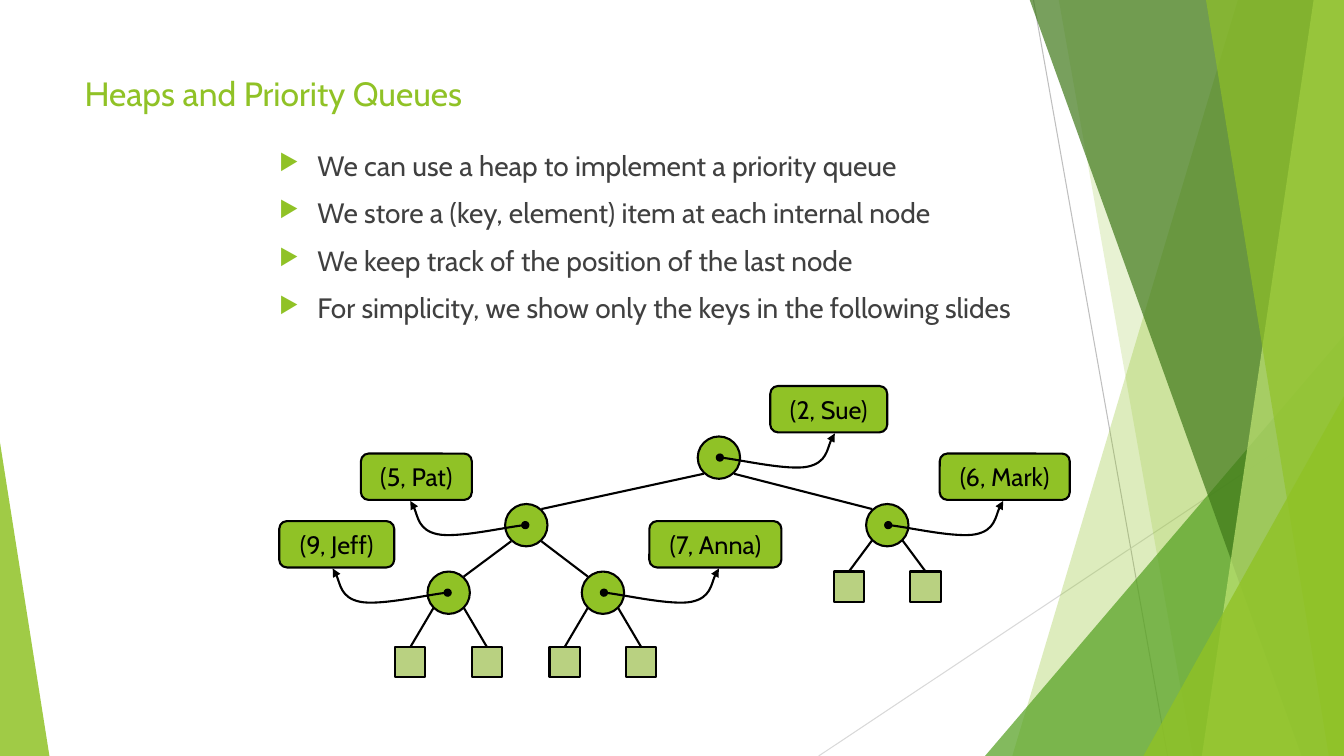
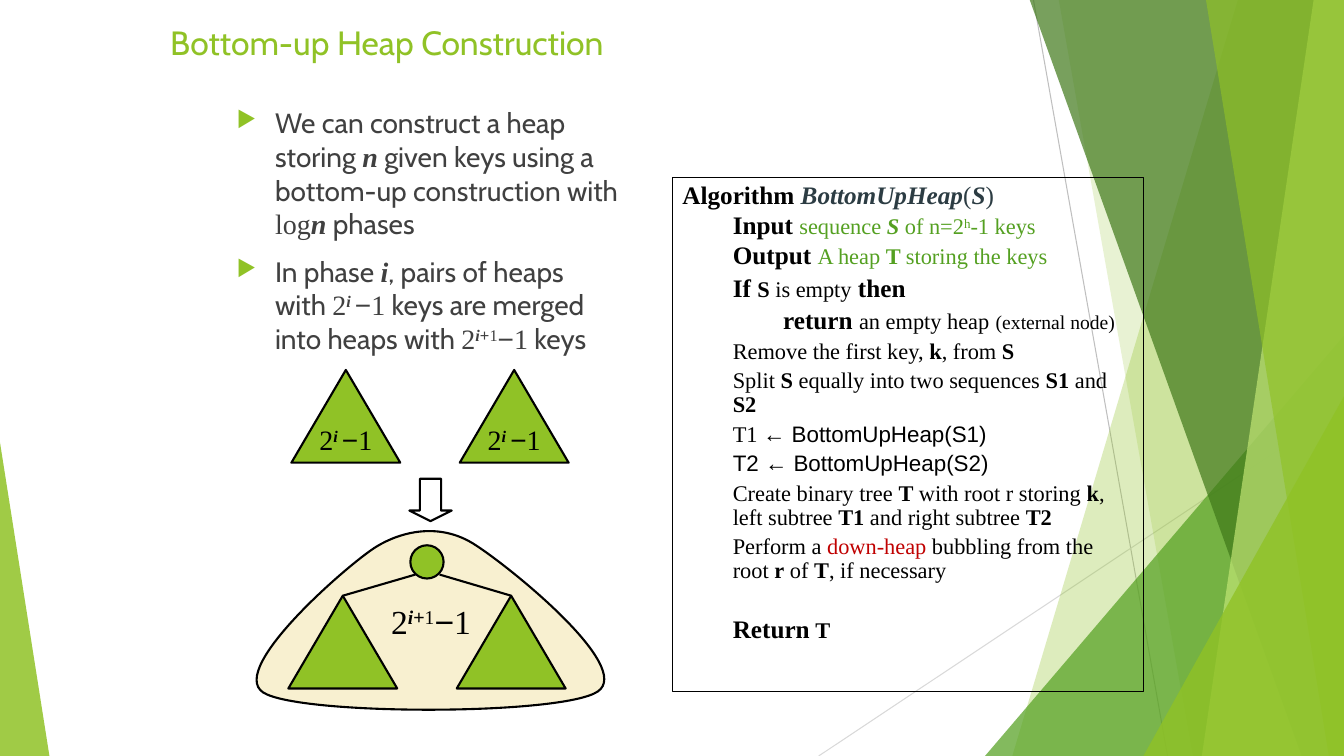
"""Build two slides on heaps: priority queue items and bottom-up construction."""
from dataclasses import dataclass
from functools import partial
from typing import NamedTuple, Optional, Sequence

from pptx import Presentation
from pptx.dml.color import RGBColor
from pptx.enum.shapes import MSO_CONNECTOR as Link, MSO_SHAPE as Kind
from pptx.enum.text import MSO_ANCHOR as Anchor, PP_ALIGN as Align
from pptx.oxml.ns import qn
from pptx.oxml.xmlchemy import OxmlElement
from pptx.util import Emu, Pt

EMU_PER_PX = 9144
SLIDE_WIDTH, SLIDE_HEIGHT = 1333, 750
GREEN, MID_GREEN, DARK_GREEN, LIME = "90C226", "54A021", "3F7819", "C0E474"
LEAF_GREEN, CREAM, BLACK, TEXT_GREY = "B9D181", "F8F0D0", "000000", "404040"
SANS, SERIF, SYMBOL = "Cabin", "Times New Roman", "Arial"
NODE_SIZE, LEAF_SIZE, LEAF_OFFSET, RIM = 42, 30, 38, 15
Point = tuple[int, int]


class Box(NamedTuple):
    left: int
    top: int
    width: int
    height: int


@dataclass(frozen=True)
class Run:
    text: str
    size: int = 20
    font: str = SANS
    color: str = TEXT_GREY
    bold: bool = False
    italic: bool = False
    raised: bool = False


@dataclass(frozen=True)
class Para:
    runs: Sequence[Run]
    before: float = 0
    indent: int = 0
    spacing: Optional[float] = None
    align: Align = Align.LEFT
    bullet: bool = False


@dataclass(frozen=True)
class Facet:
    color: str
    opacity: int
    corners: Sequence[Point]


@dataclass(frozen=True)
class Node:
    item: str
    x: int
    y: int
    item_left: int
    item_width: int
    side: int
    leaf_top: Optional[int] = None
    parent: Optional[int] = None


FACETS = (
    Facet(GREEN, 30, ((1228, -1), (1333, -1), (1333, 750), (1004, 750))),
    Facet(GREEN, 20, ((1050, -1), (1333, -1), (1333, 750), (1183, 750))),
    Facet(MID_GREEN, 72, ((1333, 333), (1333, 750), (977, 750))),
    Facet(DARK_GREEN, 70, ((1021, -1), (1333, -1), (1333, 750), (1291, 750))),
    Facet(LIME, 70, ((1303, -1), (1333, -1), (1333, 750), (1192, 750))),
    Facet(GREEN, 65, ((1196, -1), (1333, -1), (1333, 750), (1318, 750))),
    Facet(GREEN, 80, ((1333, 393), (1333, 750), (1134, 750))),
    Facet(GREEN, 85, ((0, 439), (49, 750), (0, 750))),
)

NODES = (
    Node("(2, Sue)", 713, 454, 764, 116, 1),
    Node("(5, Pat)", 522, 521, 358, 110, -1, parent=0),
    Node("(6, Mark)", 880, 521, 932, 129, 1, leaf_top=567, parent=0),
    Node("(9, Jeff)", 445, 588, 277, 114, -1, leaf_top=642, parent=1),
    Node("(7, Anna)", 598, 588, 644, 131, 1, leaf_top=642, parent=1),
)
POINTER = ((1, 0), (16, 1), (69, 13), (88, 9), (107, 5), (109, -17), (115, -24))
HEAP_OUTLINE = (
    (374, 542), (350, 556), (225, 663), (261, 687), (297, 710), (558, 710), (593, 686),
    (628, 662), (509, 565), (472, 541), (436, 517), (397, 528), (374, 542),
)

variable = partial(Run, font=SERIF, bold=True, italic=True)
serif = partial(Run, font=SERIF)
plain = partial(Run, size=16, font=SERIF, color=BLACK)
strong = partial(plain, bold=True)
keyword = partial(strong, size=18)
remark = partial(plain, color=MID_GREEN)
code = partial(plain, font=SYMBOL)
step = partial(Para, before=3.7, indent=50, spacing=0.9)


def px(length: int) -> Emu:
    """Convert px to EMU."""
    return Emu(length * EMU_PER_PX)


def rgb(color: str) -> RGBColor:
    """Turn a hex string into a colour."""
    return RGBColor.from_string(color)


def heap_size(size: int, color: str, merged: bool = False) -> list[Run]:
    """Give the key count of a heap, before or after merging."""
    number = partial(Run, size=size, color=color, font=SERIF)
    sign = partial(Run, size=size, color=color, font=SYMBOL)
    exponent = [number("i" if merged else "i ", bold=True, italic=True, raised=True)]
    if merged:
        exponent += [sign("+", raised=True), number("1", raised=True)]
    return [number("2"), *exponent, sign("−"), number("1")]


def write(frame, paras: Sequence[Para], wrap: bool = True, anchor: Anchor = Anchor.TOP) -> None:
    """Fill a text frame run by run."""
    frame.word_wrap = wrap
    frame.vertical_anchor = anchor
    for index, para in enumerate(paras):
        paragraph = frame.add_paragraph() if index else frame.paragraphs[0]
        paragraph.alignment = para.align
        paragraph.space_before = Pt(para.before if index else 0)
        if para.spacing:
            paragraph.line_spacing = para.spacing
        props = paragraph._p.get_or_add_pPr()
        props.set("marL", str(px(para.indent)))
        if para.bullet:
            props.set("indent", str(-px(para.indent)))
            tint = OxmlElement("a:buClr")
            tint.append(OxmlElement("a:srgbClr"))
            tint[0].set("val", GREEN)
            scale = OxmlElement("a:buSzPct")
            scale.set("val", "80000")
            mark = OxmlElement("a:buChar")
            mark.set("char", "▶")
            props.extend((tint, scale, mark))
        for part in para.runs:
            run = paragraph.add_run()
            run.text = part.text
            font = run.font
            font.size, font.name = Pt(part.size), part.font
            font.bold, font.italic = part.bold, part.italic
            font.color.rgb = rgb(part.color)
            if part.raised:
                run._r.get_or_add_rPr().set("baseline", "30000")


def paint(shape, fill: Optional[str], line: Optional[str] = BLACK, weight: float = 1.5) -> None:
    """Set fill and outline and drop the shadow."""
    shape.shadow.inherit = False
    if fill:
        shape.fill.solid()
        shape.fill.fore_color.rgb = rgb(fill)
    else:
        shape.fill.background()
    if line:
        shape.line.color.rgb = rgb(line)
        shape.line.width = Pt(weight)
    else:
        shape.line.fill.background()


def add_figure(slide, kind: Kind, box: Box, fill: Optional[str], weight: float = 1.5):
    """Add an outlined preset shape."""
    figure = slide.shapes.add_shape(kind, *map(px, box))
    paint(figure, fill, weight=weight)
    return figure


def add_text(slide, box: Box, paras: Sequence[Para], wrap: bool = True) -> None:
    """Add a text box."""
    write(slide.shapes.add_textbox(*map(px, box)).text_frame, paras, wrap)


def add_line(slide, start: Point, end: Point, color: str = BLACK, weight: float = 1.5) -> None:
    """Add a straight line."""
    line = slide.shapes.add_connector(Link.STRAIGHT, *map(px, start + end))
    line.line.color.rgb = rgb(color)
    line.line.width = Pt(weight)
    line._element.spPr.append(OxmlElement("a:effectLst"))


def add_outline(slide, points: Sequence[Point], closed: bool):
    """Add a freeform through the points."""
    builder = slide.shapes.build_freeform(*points[0], scale=EMU_PER_PX)
    builder.add_line_segments(points[1:], close=closed)
    return builder.convert_to_shape()


def add_curve(slide, points: Sequence[Point], closed: bool):
    """Add a freeform whose points are cubic Bezier controls."""
    curve = add_outline(slide, points, closed)
    outline = next(curve._element.iter(qn("a:path")))
    segments = outline.findall(qn("a:lnTo"))
    for first in range(0, len(segments), 3):
        bend = OxmlElement("a:cubicBezTo")
        segments[first].addprevious(bend)
        for segment in segments[first:first + 3]:
            bend.append(segment[0])
            outline.remove(segment)
    return curve


def add_pointer(slide, node: Node) -> None:
    """Link a node to its item with a curved arrow."""
    pointer = add_curve(slide, [(node.x + node.side * dx, node.y + dy) for dx, dy in POINTER], False)
    paint(pointer, None)
    for end, style in (("a:headEnd", "oval"), ("a:tailEnd", "triangle")):
        tip = OxmlElement(end)
        tip.set("type", style)
        pointer._element.spPr.find(qn("a:ln")).append(tip)


def start_slide(deck, title: str, title_box: Box):
    """Add a slide with the shared backdrop and title style."""
    slide = deck.slides.add_slide(deck.slide_layouts[6])
    add_line(slide, (1025, 0), (1158, 750), "BFBFBF", 0.75)
    add_line(slide, (1333, 403), (812, 750), "D9D9D9", 0.75)
    for facet in FACETS:
        pane = add_outline(slide, facet.corners, True)
        paint(pane, facet.color, None)
        alpha = OxmlElement("a:alpha")
        alpha.set("val", str(facet.opacity * 1000))
        next(pane._element.iter(qn("a:srgbClr"))).append(alpha)
    add_text(slide, title_box, [Para([Run(title, 24, color=GREEN)])])
    return slide


def add_bullets(slide, box: Box, points: Sequence[Sequence[Run]]) -> None:
    """Add the bulleted body text."""
    add_text(slide, box, [Para(runs, before=10, indent=38, bullet=True) for runs in points])


def add_node(slide, node: Node) -> None:
    """Draw a heap node with its item, leaves and edge to the parent."""
    half = NODE_SIZE // 2
    add_figure(slide, Kind.OVAL, Box(node.x - half, node.y - half, NODE_SIZE, NODE_SIZE), GREEN)
    if node.parent is not None:
        above = NODES[node.parent]
        turn = 1 if node.x > above.x else -1
        add_line(slide, (above.x + turn * RIM, above.y + RIM + 1), (node.x - turn * RIM, node.y - RIM - 1))
    if node.leaf_top is not None:
        for turn in (-1, 1):
            leaf_x = node.x + turn * LEAF_OFFSET
            leaf = Box(leaf_x - LEAF_SIZE // 2, node.leaf_top, LEAF_SIZE, LEAF_SIZE)
            add_figure(slide, Kind.RECTANGLE, leaf, LEAF_GREEN)
            add_line(slide, (node.x + turn * RIM, node.y + RIM), (leaf_x, node.leaf_top))
    item = add_figure(slide, Kind.ROUNDED_RECTANGLE, Box(node.item_left, node.y - 71, node.item_width, 46), GREEN)
    write(item.text_frame, [Para([Run(node.item, 18, color=BLACK)], align=Align.CENTER)], False, Anchor.MIDDLE)
    add_pointer(slide, node)


def build_queue_slide(deck) -> None:
    """Show a heap used as a priority queue."""
    slide = start_slide(deck, "Heaps and Priority Queues", Box(74, 67, 940, 144))
    add_bullets(slide, Box(267, 142, 842, 208), [[Run(text)] for text in (
        "We can use a heap to implement a priority queue",
        "We store a (key, element) item at each internal node",
        "We keep track of the position of the last node",
        "For simplicity, we show only the keys in the following slides",
    )])
    for node in NODES:
        add_node(slide, node)


def build_construction_slide(deck) -> None:
    """Show bottom-up construction and its algorithm."""
    slide = start_slide(deck, "Bottom-up Heap Construction", Box(159, 17, 786, 59))
    add_bullets(slide, Box(225, 100, 400, 275), [
        [Run("We can construct a heap storing "), variable("n"),
         Run(" given keys using a bottom-up construction with "), serif("log"), variable("n"), Run(" phases")],
        [Run("In phase "), variable("i"), Run(", pairs of heaps with "), *heap_size(20, TEXT_GREY),
         Run(" keys are merged into heaps with "), *heap_size(20, TEXT_GREY, merged=True), Run(" keys")],
    ])
    for left in (289, 456):
        heap = add_figure(slide, Kind.ISOSCELES_TRIANGLE, Box(left, 367, 108, 92), GREEN)
        write(heap.text_frame, [Para(heap_size(20, BLACK), align=Align.CENTER)], False, Anchor.MIDDLE)
    add_figure(slide, Kind.DOWN_ARROW, Box(406, 475, 42, 42), None).adjustments[1] = 0.25
    paint(add_curve(slide, HEAP_OUTLINE, True), CREAM)
    for left, root_x in ((286, 412), (453, 436)):
        add_figure(slide, Kind.ISOSCELES_TRIANGLE, Box(left, 591, 108, 92), GREEN)
        add_line(slide, (root_x, 570), (left + 54, 591))
    add_figure(slide, Kind.OVAL, Box(407, 541, 33, 33), GREEN)
    add_text(slide, Box(377, 591, 101, 50), [Para(heap_size(24, BLACK, merged=True), align=Align.CENTER)], False)
    algorithm = add_figure(slide, Kind.RECTANGLE, Box(667, 176, 467, 510), None, 0.75)
    name = partial(keyword, color="2C3C43")
    write(algorithm.text_frame, [
        Para([keyword("Algorithm "), name("BottomUpHeap", italic=True), name("(", bold=False),
              name("S", italic=True), name(")", bold=False)], spacing=0.9),
        Para([keyword("Input "), remark("sequence "), remark("S", bold=True, italic=True),
              remark(" of n=2"), remark("h", raised=True), remark("-1 keys")], indent=50),
        Para([keyword("Output "), remark("A heap "), remark("T ", bold=True), remark("storing the keys")], indent=50),
        step([keyword("If "), strong("S "), plain("is empty"), keyword(" then")]),
        step([keyword("return "), plain("an empty heap"), keyword(" "), plain("(external node)", size=14)], indent=100),
        step([plain("Remove the first key, "), strong("k"), plain(", from "), strong("S")]),
        step([plain("Split "), strong("S"), plain(" equally into two sequences "), strong("S1"),
              plain(" and "), strong("S2")]),
        step([plain("T1 "), code("← BottomUpHeap(S1)")]),
        step([code("T2 ← BottomUpHeap(S2)")]),
        step([plain("Create binary tree "), strong("T"), plain(" with root r storing "), strong("k"),
              plain(", left subtree "), strong("T1"), plain(" and right subtree "), strong("T2")]),
        step([plain("Perform a "), plain("down-heap", color="C00000"), plain(" bubbling from the root "),
              strong("r"), plain(" of "), strong("T"), plain(", if necessary")]),
        step([keyword("Return"), plain(" "), strong("T")], before=24),
    ])


def main() -> None:
    """Build and save the deck."""
    deck = Presentation()
    deck.slide_width, deck.slide_height = px(SLIDE_WIDTH), px(SLIDE_HEIGHT)
    build_queue_slide(deck)
    build_construction_slide(deck)
    deck.save("out.pptx")


if __name__ == "__main__":
    main()
